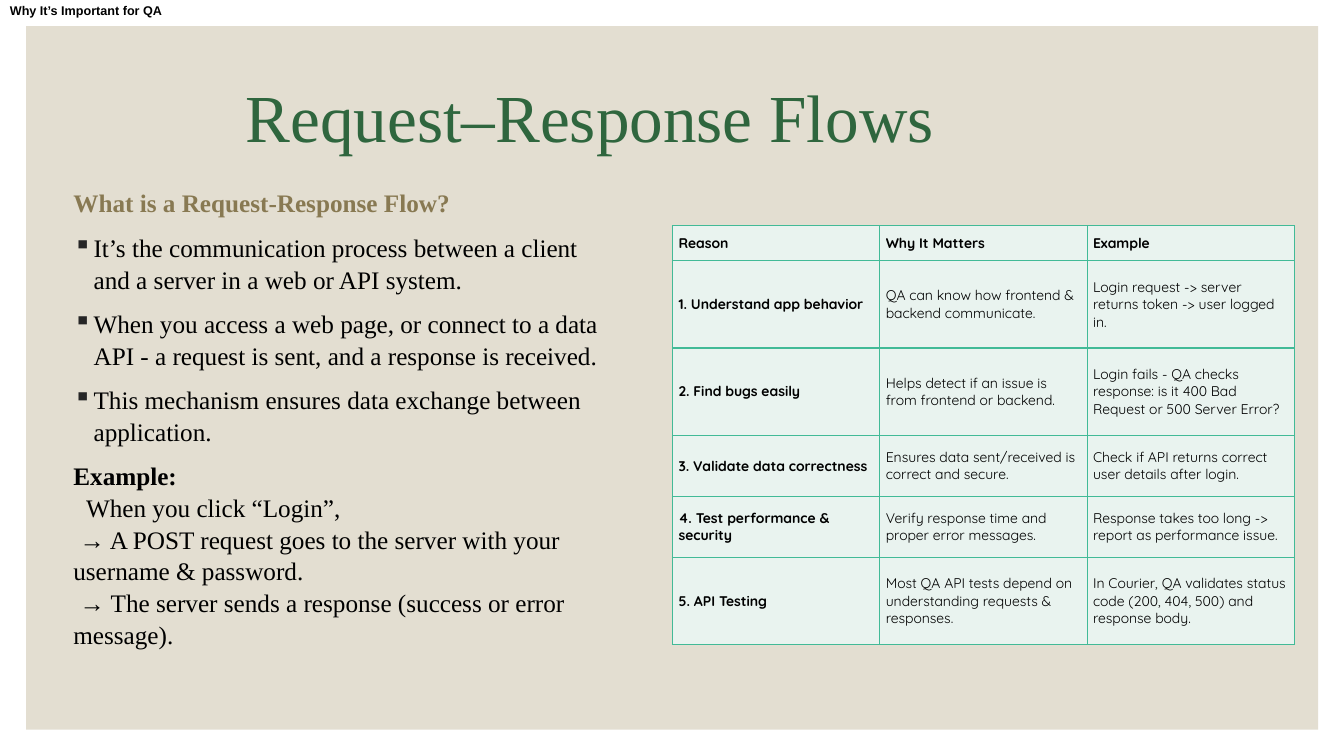
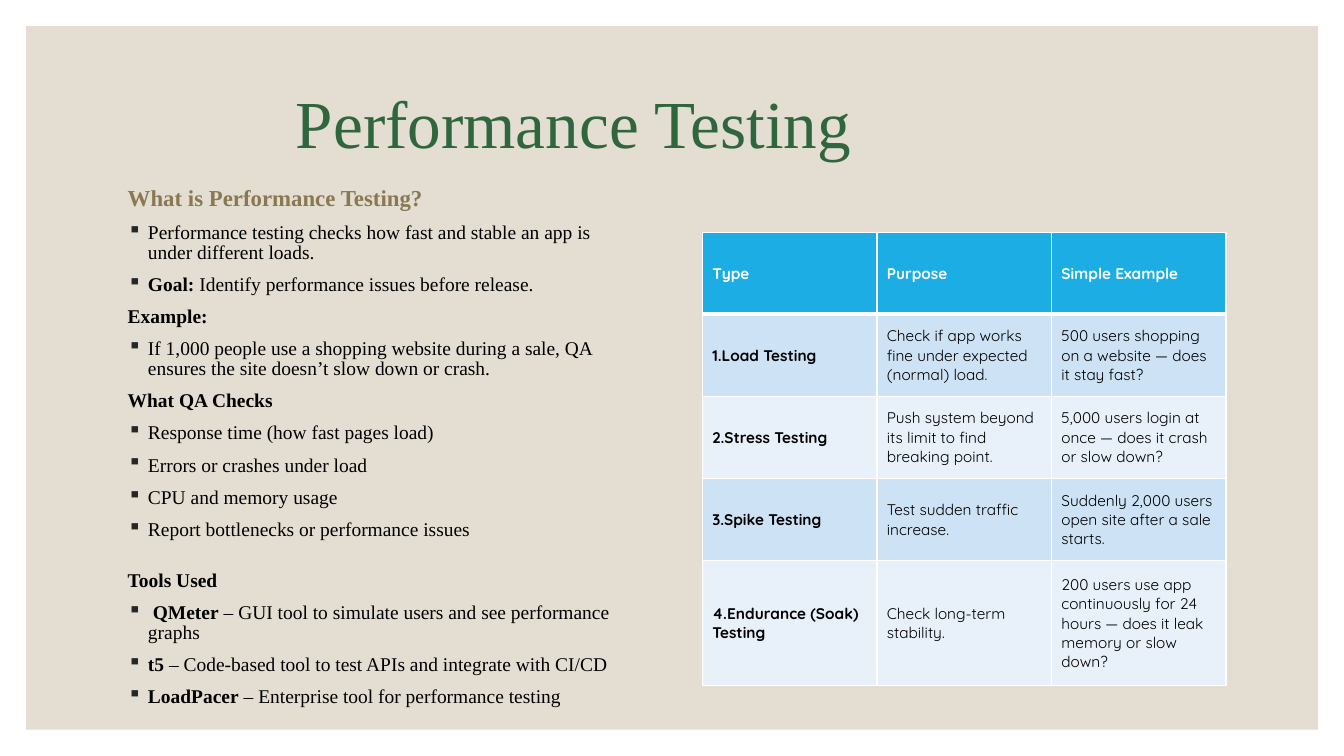
from lxml.etree import SubElement
from pptx import Presentation
from pptx.dml.color import RGBColor
from pptx.enum.shapes import MSO_SHAPE
from pptx.enum.text import MSO_ANCHOR
from pptx.oxml.ns import qn
from pptx.util import Cm, Pt

SERIF, TABLE_FONT, LABEL_FONT = "Times New Roman", "Quicksand", "Arial"
BAND, GREEN, TAN, BLACK, WHITE = "E3DED1", "2F663E", "887952", "000000", "FFFFFF"
BULLET = "262626"

REQUEST_BODY = [
    ("heading", "What is a Request-Response Flow?|"),
    ("bullet", "It’s the communication process between a client and a server in a web or API system."),
    ("bullet", "When you access a web page, or connect to a data API - a request is sent, and a response is received."),
    ("bullet", "This mechanism ensures data exchange between application."),
    ("label", "Example:|"),
    ("opening", "When you click “Login”,"),
    ("step", "→ A POST request goes to the server with your username & password."),
    ("step", "→ The server sends a response (success or error message)."),
]
REQUEST_TABLE = [
    ("Reason", "Why It Matters", "Example"),
    ("1. Understand app behavior", "QA can know how frontend & backend communicate.",
     "Login request -> server returns token -> user logged in."),
    ("2. Find bugs easily", "Helps detect if an issue is from frontend or backend.",
     "Login fails - QA checks response: is it 400 Bad Request or 500 Server Error?"),
    ("3. Validate data correctness", "Ensures data sent/received is correct and secure.",
     "Check if API returns correct user details after login."),
    ("4. Test performance & security", "Verify response time and proper error messages.",
     "Response takes too long -> report as performance issue."),
    ("5. API Testing", "Most QA API tests depend on understanding requests & responses.",
     "In Courier, QA validates status code (200, 404, 500) and response body."),
]
PERFORMANCE_BODY = [
    ("heading", "What is Performance Testing?|"),
    ("bullet", "Performance testing checks how fast and stable an app is under different loads."),
    ("bullet", "Goal:| Identify performance issues before release."),
    ("label", "Example:|"),
    ("bullet", "If 1,000 people use a shopping website during a sale, QA ensures the site doesn’t slow down or crash."),
    ("label", "What QA Checks|"),
    ("bullet", "Response time (how fast pages load)"),
    ("bullet", "Errors or crashes under load"),
    ("bullet", "CPU and memory usage"),
    ("bullet", "Report bottlenecks or performance issues"),
    ("section", "Tools Used|"),
    ("bullet", " QMeter| – GUI tool to simulate users and see performance graphs"),
    ("bullet", "t5| – Code-based tool to test APIs and integrate with CI/CD"),
    ("bullet", "LoadPacer| – Enterprise tool for performance testing"),
]
PERFORMANCE_TABLE = [
    ("Type", "Purpose", "Simple Example"),
    ("1.Load Testing", "Check if app works fine under expected (normal) load.",
     "500 users shopping on a website — does it stay fast?"),
    ("2.Stress Testing", "Push system beyond its limit to find breaking point.",
     "5,000 users login at once — does it crash or slow down?"),
    ("3.Spike Testing", "Test sudden traffic increase.",
     "Suddenly 2,000 users open site after a sale starts."),
    ("4.Endurance (Soak) Testing", "Check long-term stability.",
     "200 users use app continuously for 24 hours — does it leak memory or slow down?"),
]

SPACE_BEFORE = {"opening": 0, "step": 0, "section": 22.4}
FIRST_LINE = {"opening": 0.32, "step": 0.16}
REQUEST_STYLE = {"size": 10, "fills": ["E9F3EF"], "header_fill": "E9F3EF", "header_color": BLACK,
                 "border": "42BA97", "header_rule": 1, "margins": (0.15, 0.08)}
PERFORMANCE_STYLE = {"size": 11, "fills": ["CDE3F5", "E8F1FA"], "header_fill": "1CADE4",
                     "header_color": WHITE, "border": WHITE, "header_rule": 3, "margins": (0.25, 0.13)}


def color(value):
    """Turn a hex string into a colour."""
    return RGBColor.from_string(value)


def apply_format(target, values):
    """Set every attribute in a dict of format values."""
    for name, value in values.items():
        setattr(target, name, value)


def paint(fill, value):
    """Make a fill solid in the given colour."""
    fill.solid()
    fill.fore_color.rgb = color(value)


def add_run(paragraph, text, font, size, value, bold=False):
    """Append a formatted run to a paragraph."""
    run = paragraph.add_run()
    run.text = text
    apply_format(run.font, {"name": font, "size": Pt(size), "bold": bold})
    run.font.color.rgb = color(value)


def add_text_frame(slide, box, **values):
    """Add a text box and return its text frame."""
    frame = slide.shapes.add_textbox(*map(Cm, box)).text_frame
    apply_format(frame, {"word_wrap": True, **values})
    return frame


def add_band(slide, box):
    """Draw the beige panel behind the content."""
    shape = slide.shapes.add_shape(MSO_SHAPE.RECTANGLE, *map(Cm, box))
    shape.shadow.inherit = False
    paint(shape.fill, BAND)
    shape.line.fill.background()


def add_title(slide, box, text):
    """Place the large green title."""
    paragraph = add_text_frame(slide, box, vertical_anchor=MSO_ANCHOR.MIDDLE).paragraphs[0]
    paragraph.line_spacing = 0.9
    add_run(paragraph, text, SERIF, 48, GREEN)


def add_corner_label(slide, box, text):
    """Place the small bold label in the top corner."""
    frame = add_text_frame(slide, box, word_wrap=False, margin_top=0, margin_bottom=0,
                           vertical_anchor=MSO_ANCHOR.MIDDLE)
    add_run(frame.paragraphs[0], text, LABEL_FONT, 9, BLACK, True)


def set_bullet(properties):
    """Give paragraph properties a hanging square bullet."""
    properties.set("marL", str(Cm(0.51)))
    properties.set("indent", str(-Cm(0.51)))
    bullet_color = SubElement(properties, qn("a:buClr"))
    SubElement(bullet_color, qn("a:srgbClr"), val=BULLET)
    SubElement(properties, qn("a:buChar"), char="▪")


def add_body(slide, box, entries, heading_size, size, line_spacing):
    """Write the left column; text before a bar is bold."""
    frame = add_text_frame(slide, box)
    for index, (kind, text) in enumerate(entries):
        paragraph = frame.add_paragraph() if index else frame.paragraphs[0]
        apply_format(paragraph, {"line_spacing": line_spacing,
                                 "space_before": Pt(SPACE_BEFORE.get(kind, 9))})
        properties = paragraph._p.get_or_add_pPr()
        if kind == "bullet":
            set_bullet(properties)
        elif kind in FIRST_LINE:
            properties.set("indent", str(Cm(FIRST_LINE[kind])))
        heading = kind == "heading"
        strong, _, plain = text.rpartition("|")
        for part, bold in ((strong, True), (plain, False)):
            if part:
                add_run(paragraph, part, SERIF, heading_size if heading else size,
                        TAN if heading else BLACK, bold)


def set_borders(cell, value, widths):
    """Draw the four cell borders, given widths for left, right, top and bottom."""
    properties = cell._tc.get_or_add_tcPr()
    for side, width in zip("LRTB", widths):
        line = SubElement(properties, qn(f"a:ln{side}"), w=str(Pt(width)))
        SubElement(SubElement(line, qn("a:solidFill")), qn("a:srgbClr"), val=value)


def add_grid(slide, box, rows, heights, style):
    """Place a three-column table with a bold first row and column."""
    table = slide.shapes.add_table(len(rows), len(rows[0]), *map(Cm, box)).table
    apply_format(table, {"first_row": False, "horz_banding": False})
    for column in table.columns:
        column.width = Cm(box[2] / len(rows[0]))
    horizontal, vertical = map(Cm, style["margins"])
    for row_index, (texts, height) in enumerate(zip(rows, heights)):
        table.rows[row_index].height = Cm(height)
        header = row_index == 0
        fills = style["fills"]
        fill = style["header_fill"] if header else fills[(row_index - 1) % len(fills)]
        top = style["header_rule"] if row_index == 1 else 1
        bottom = style["header_rule"] if header else 1
        for column_index, text in enumerate(texts):
            cell = table.cell(row_index, column_index)
            apply_format(cell, {"vertical_anchor": MSO_ANCHOR.MIDDLE,
                                "margin_left": horizontal, "margin_right": horizontal,
                                "margin_top": vertical, "margin_bottom": vertical})
            set_borders(cell, style["border"], (1, 1, top, bottom))
            paint(cell.fill, fill)
            add_run(cell.text_frame.paragraphs[0], text, TABLE_FONT, style["size"],
                    style["header_color"] if header else BLACK, header or column_index == 0)


def add_topic_slide(presentation, title_box, title):
    """Start a slide with the shared panel and title."""
    slide = presentation.slides.add_slide(presentation.slide_layouts[6])
    add_band(slide, (0.66, 0.66, 32.56, 17.73))
    add_title(slide, title_box, title)
    return slide


def build_request_slide(presentation):
    """Build the request and response slide."""
    slide = add_topic_slide(presentation, (5.94, 1.78, 24.9, 2.54), "Request–Response Flows")
    add_body(slide, (1.6, 4.57, 13.84, 13.39), REQUEST_BODY, 18, 18, 1.05)
    add_grid(slide, (16.95, 5.69, 15.67, 10.54), REQUEST_TABLE,
             (0.88, 2.2, 2.2, 1.54, 1.54, 2.2), REQUEST_STYLE)
    add_corner_label(slide, (0, 0, 8, 0.55), "Why It’s Important for QA")


def build_performance_slide(presentation):
    """Build the performance testing slide."""
    slide = add_topic_slide(presentation, (7.21, 1.78, 23.6, 2.84), "Performance Testing")
    add_body(slide, (2.97, 4.62, 13.21, 13.28), PERFORMANCE_BODY, 16.3, 13.9, 0.84)
    add_grid(slide, (17.7, 5.85, 13.2, 11.43), PERFORMANCE_TABLE,
             (2.07, 2.07, 2.07, 2.07, 3.15), PERFORMANCE_STYLE)


def main():
    """Build and save the presentation."""
    presentation = Presentation()
    apply_format(presentation, {"slide_width": Cm(33.87), "slide_height": Cm(19.05)})
    build_request_slide(presentation)
    build_performance_slide(presentation)
    presentation.save("out.pptx")


if __name__ == "__main__":
    main()
